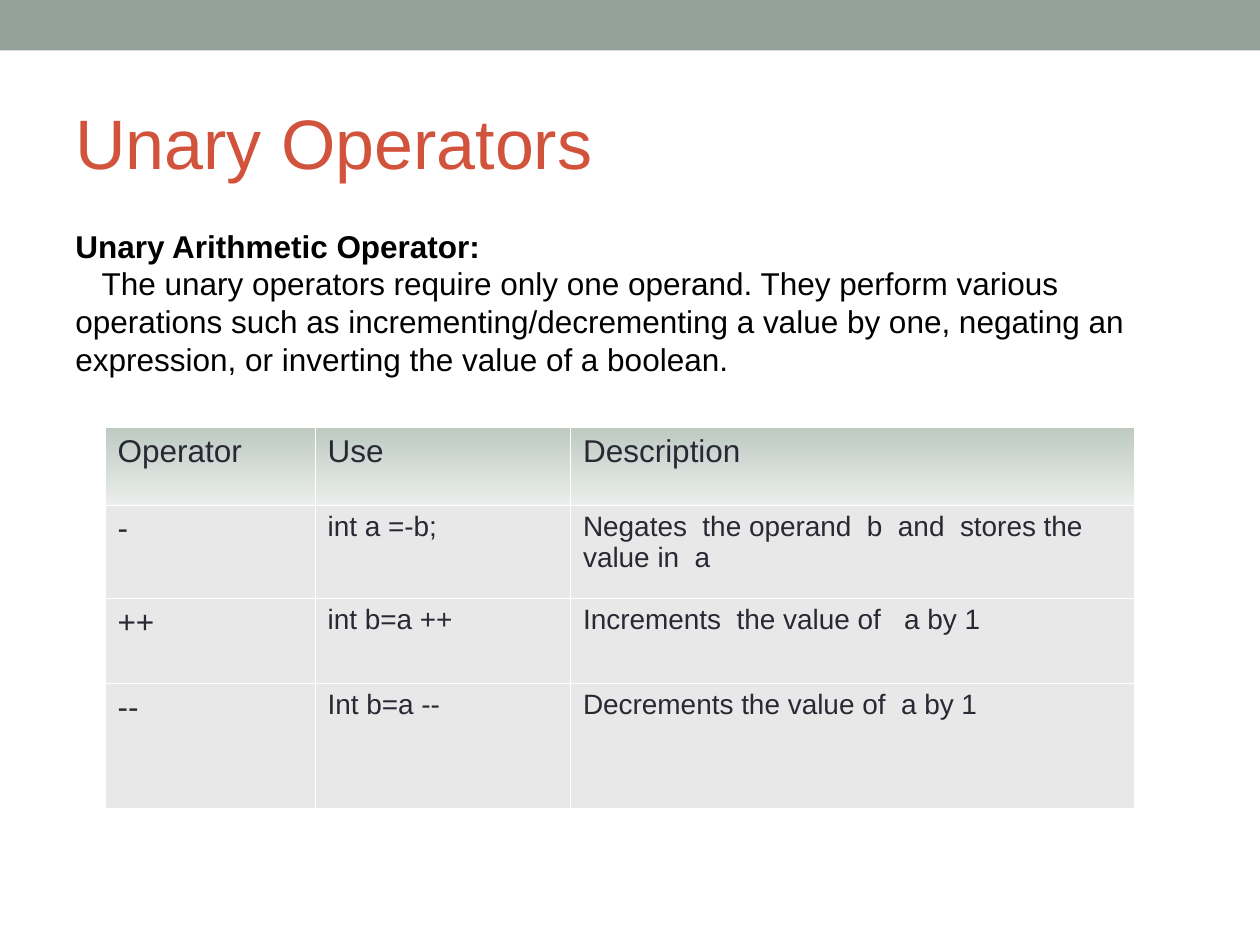
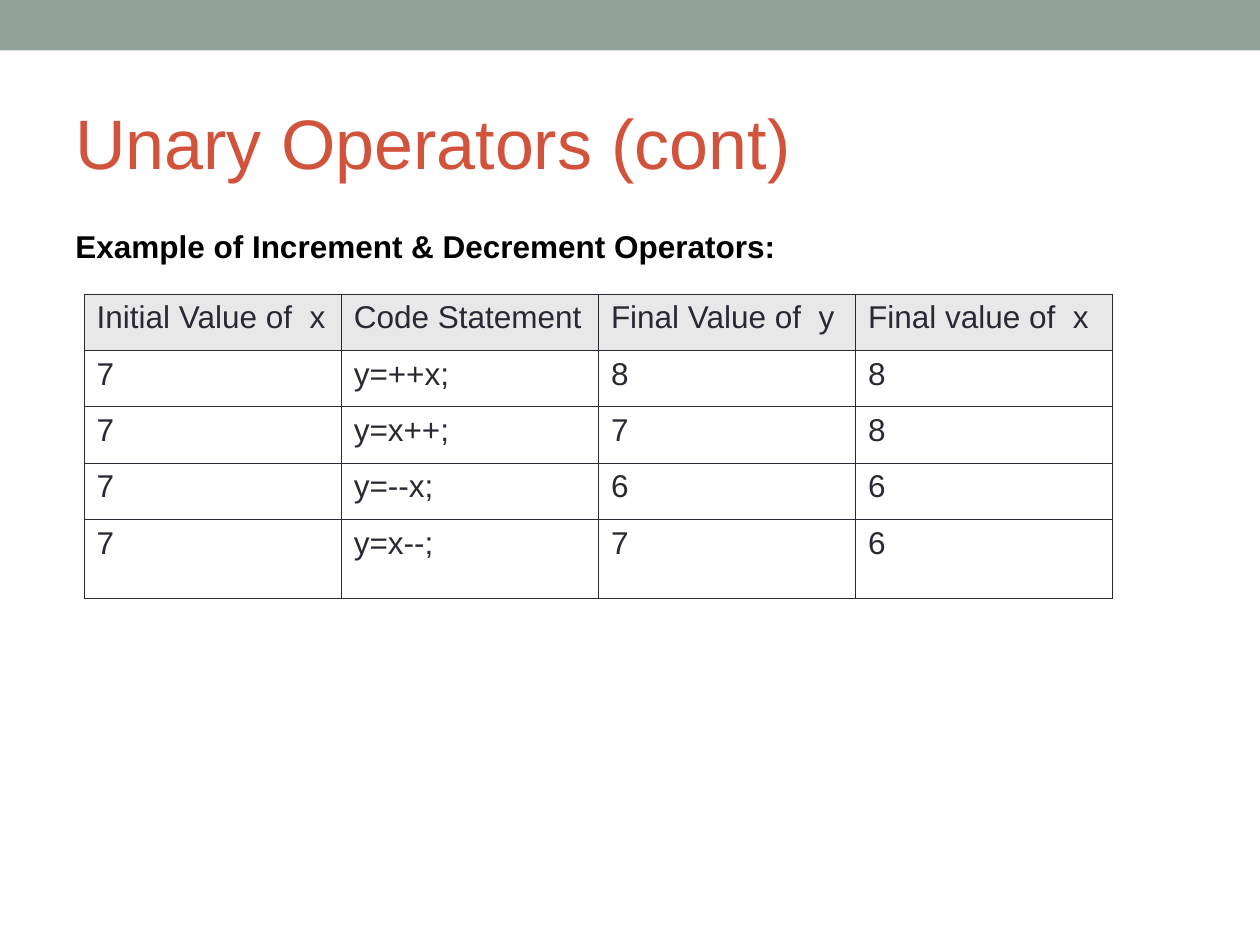
from lxml.etree import SubElement
from pptx import Presentation
from pptx.dml.color import RGBColor
from pptx.enum.shapes import MSO_SHAPE
from pptx.enum.text import MSO_ANCHOR
from pptx.oxml.ns import qn
from pptx.util import Pt

FONT = "Arial"
SAGE = RGBColor(0x93, 0xA2, 0x99)
BRICK = RGBColor(0xD2, 0x53, 0x3C)
BLACK = RGBColor(0x00, 0x00, 0x00)
WHITE = RGBColor(0xFF, 0xFF, 0xFF)
INK = RGBColor(0x29, 0x29, 0x34)
PALE_GREY = RGBColor(0xE8, 0xE8, 0xE8)
HEADER_TOP = RGBColor(0xBF, 0xCA, 0xC3)
HEADER_BOTTOM = RGBColor(0xEB, 0xEE, 0xEC)
BORDER_WIDTH = Pt(0.45)


def style_paragraph(paragraph, size, color, bold=False):
    for run in paragraph.runs:
        run.font.name = FONT
        run.font.size = Pt(size)
        run.font.color.rgb = color
        run.font.bold = bold


def add_grid(slide, left, top, widths, heights, rows, border_color):
    grid = slide.shapes.add_table(
        len(rows), len(widths), Pt(left), Pt(top), Pt(sum(widths)), Pt(sum(heights))
    ).table
    grid.first_row = False
    grid.horz_banding = False
    for column, width in zip(grid.columns, widths):
        column.width = Pt(width)
    for row, height, texts in zip(grid.rows, heights, rows):
        row.height = Pt(height)
        for cell, text in zip(row.cells, texts):
            cell.text_frame.text = text
            style_paragraph(cell.text_frame.paragraphs[0], 18, INK)
            properties = cell._tc.get_or_add_tcPr()
            for side in ("a:lnL", "a:lnR", "a:lnT", "a:lnB"):
                border = SubElement(properties, qn(side), w=str(BORDER_WIDTH))
                border_fill = SubElement(border, qn("a:solidFill"))
                SubElement(border_fill, qn("a:srgbClr"), val=str(border_color))
    return grid


presentation = Presentation()
presentation.slide_width = Pt(720)
presentation.slide_height = Pt(540)

pages = [
    (
        "Unary Operators",
        [
            "Unary Arithmetic Operator:",
            "The unary operators require only one operand. They perform various "
            "operations such as incrementing/decrementing a value by one, negating an "
            "expression, or inverting the value of a boolean.",
        ],
        648,
        201.6,
    ),
    ("Unary Operators (cont)", ["Example of Increment & Decrement Operators:"], 588, 29),
]

slides = []
for heading, paragraphs, intro_width, intro_height in pages:
    slide = presentation.slides.add_slide(presentation.slide_layouts[6])
    slides.append(slide)

    band = slide.shapes.add_shape(MSO_SHAPE.RECTANGLE, 0, 0, Pt(720), Pt(28.8))
    band.shadow.inherit = False
    band.fill.solid()
    band.fill.fore_color.rgb = SAGE
    band.line.fill.background()

    title = slide.shapes.add_textbox(Pt(36), Pt(42), Pt(648), Pt(78)).text_frame
    title.word_wrap = True
    title.vertical_anchor = MSO_ANCHOR.MIDDLE
    title.text = heading
    style_paragraph(title.paragraphs[0], 40, BRICK)

    intro = slide.shapes.add_textbox(
        Pt(36), Pt(126), Pt(intro_width), Pt(intro_height)
    ).text_frame
    intro.word_wrap = True
    intro.text = "\n".join(paragraphs)
    for index, paragraph in enumerate(intro.paragraphs):
        style_paragraph(paragraph, 18, BLACK, bold=index == 0)
        if index > 0:
            paragraph._p.get_or_add_pPr().set("indent", str(Pt(15)))

operators_slide, examples_slide = slides

operators = add_grid(
    operators_slide, 60, 244.4, [120, 146, 322], [44.2, 53.4, 48.4, 71.4],
    [
        ["Operator", "Use", "Description"],
        ["-", "int a =-b;", "Negates  the operand  b  and  stores the value in  a"],
        ["++", "int b=a ++", "Increments  the value of   a by 1"],
        ["--", "Int b=a --", "Decrements the value of  a by 1"],
    ],
    WHITE,
)
for row_index, row in enumerate(operators.rows):
    for column_index, cell in enumerate(row.cells):
        if row_index == 0:
            cell.fill.gradient()
            cell.fill.gradient_angle = 270
            for stop, color in zip(cell.fill.gradient_stops, (HEADER_TOP, HEADER_BOTTOM)):
                stop.color.rgb = color
        else:
            cell.fill.solid()
            cell.fill.fore_color.rgb = PALE_GREY
            if column_index > 0:
                style_paragraph(cell.text_frame.paragraphs[0], 16, INK)

examples = add_grid(
    examples_slide, 48, 168, [147] * 4, [32.2] * 4 + [45.2],
    [
        ["Initial Value of  x", "Code Statement", "Final Value of  y", "Final value of  x"],
        ["7", "y=++x;", "8", "8"],
        ["7", "y=x++;", "7", "8"],
        ["7", "y=--x;", "6", "6"],
        ["7", "y=x--;", "7", "6"],
    ],
    INK,
)
for row_index, row in enumerate(examples.rows):
    for cell in row.cells:
        if row_index == 0:
            cell.fill.solid()
            cell.fill.fore_color.rgb = PALE_GREY
        else:
            cell.fill.background()

presentation.save("out.pptx")
